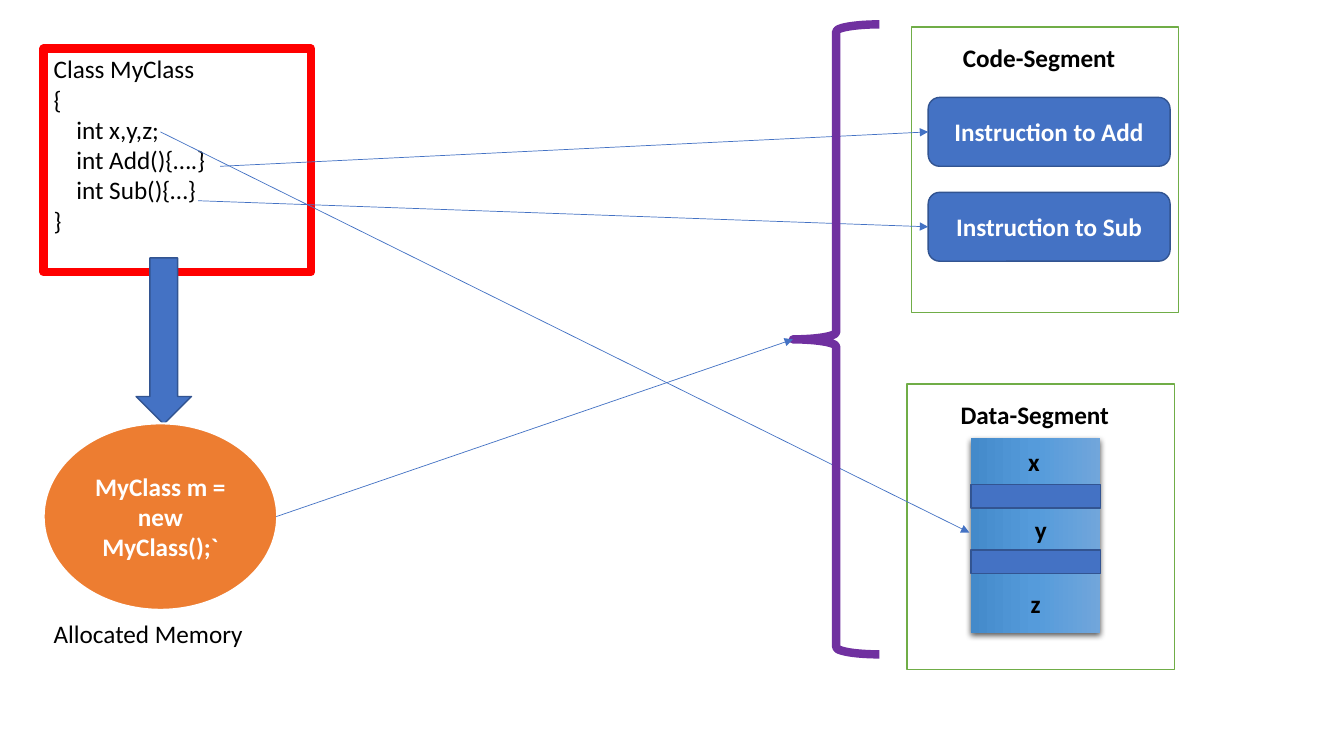
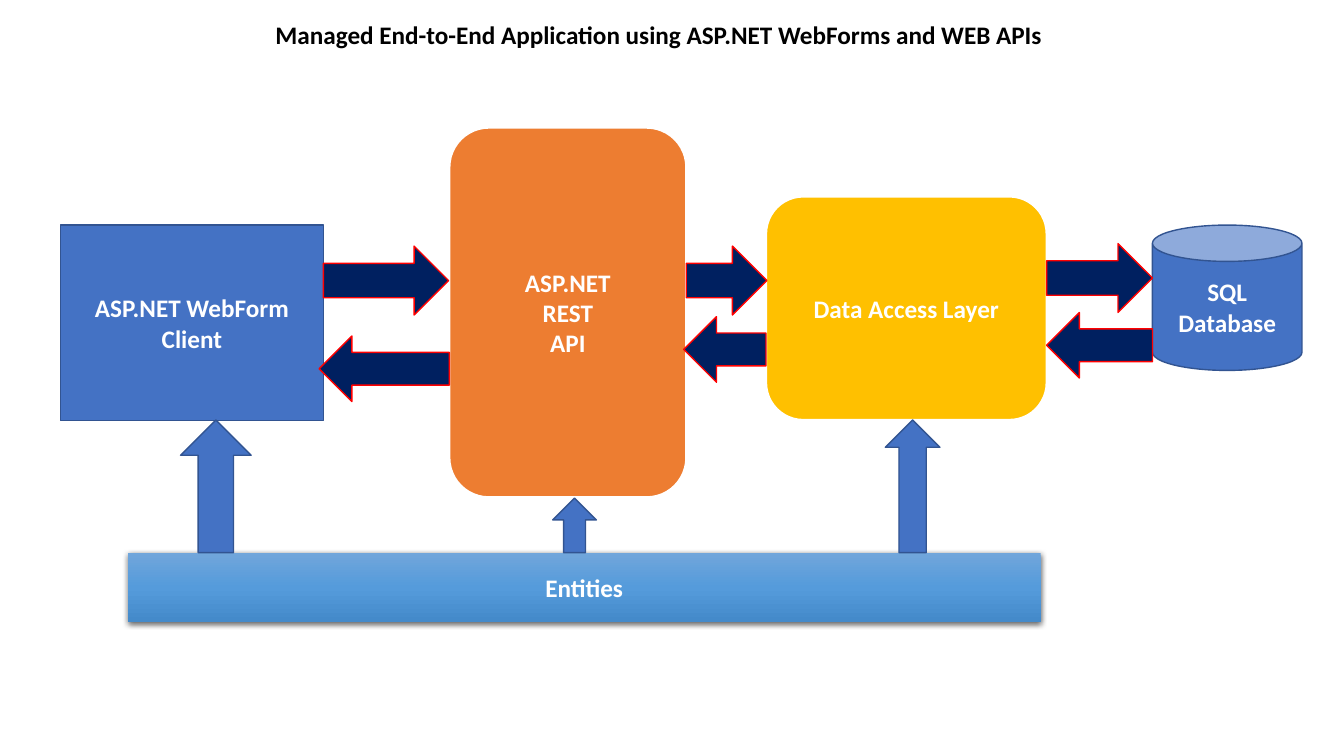
from lxml.etree import SubElement
from pptx import Presentation
from pptx.dml.color import RGBColor
from pptx.enum.shapes import MSO_CONNECTOR as Connector, MSO_SHAPE as Preset
from pptx.enum.text import MSO_ANCHOR as Anchor, MSO_AUTO_SIZE as AutoSize, PP_ALIGN as Align
from pptx.oxml.ns import qn
from pptx.util import Inches, Pt

COLUMNS, ROWS = 160, 90
FONT, TEXT_SIZE, TEXT_HEIGHT = "Calibri", 18, 4.8
BLACK, WHITE, RED = "000000", "FFFFFF", "FF0000"
BLUE, ORANGE, GOLD = "4472C4", "ED7D31", "FFC000"
NAVY, GREEN, PURPLE = "002060", "70AD47", "7030A0"
BLUE_EDGE, RED_EDGE, GREEN_EDGE = ("325491", 1), (RED, 1), (GREEN, 1)
WHITE_EDGE = (WHITE, 1.5)
GRADIENT = ((0, "71A6DB"), (50, "559BDB"), (100, "448ACA"))


def color(value):
    """Turn a hex string into a colour."""
    return RGBColor.from_string(value)


class Deck:
    """Hold the style, the presentation and the current slide."""

    def __init__(self):
        """Start a widescreen presentation."""
        self.presentation = Presentation()
        self.presentation.slide_width = Inches(13.333)
        self.presentation.slide_height = Inches(7.5)
        self.slide = None

    def place(self, left, top, width, height):
        """Convert grid cells to slide lengths."""
        column = self.presentation.slide_width / COLUMNS
        row = self.presentation.slide_height / ROWS
        return int(left * column), int(top * row), int(width * column), int(height * row)

    def new_slide(self, title=None):
        """Add a slide, with a title when one is given."""
        layout = self.presentation.slide_layouts[5 if title else 6]
        self.slide = self.presentation.slides.add_slide(layout)
        if title:
            shape = self.slide.shapes.title
            shape.left, shape.top, shape.width, shape.height = self.place(3.1, 1.7, 150.7, TEXT_HEIGHT)
            self.add_text(shape, title, BLACK, anchor=Anchor.TOP)

    def add_text(self, shape, text, ink, bold=True, align=Align.CENTER, anchor=Anchor.MIDDLE):
        """Fill a shape with one paragraph for each line of text."""
        frame = shape.text_frame
        frame.word_wrap = True
        frame.auto_size = AutoSize.NONE
        frame.vertical_anchor = anchor
        for index, line in enumerate(text.split("\n")):
            paragraph = frame.add_paragraph() if index else frame.paragraphs[0]
            paragraph.alignment = align
            run = paragraph.add_run()
            run.text = line
            run.font.name, run.font.size, run.font.bold = FONT, Pt(TEXT_SIZE), bold
            run.font.color.rgb = color(ink)

    def label(self, text, left, top, width, bold=True, align=Align.CENTER):
        """Add a one-line text box."""
        box = self.slide.shapes.add_textbox(*self.place(left, top, width, TEXT_HEIGHT))
        self.add_text(box, text, BLACK, bold, align, Anchor.TOP)

    def shape(self, preset, area, fill=None, edge=None, text=None):
        """Add a preset shape with white centred text."""
        shape = self.slide.shapes.add_shape(preset, *self.place(*area))
        if fill:
            shape.fill.solid()
            shape.fill.fore_color.rgb = color(fill)
        else:
            shape.fill.background()
        if edge:
            shape.line.color.rgb, shape.line.width = color(edge[0]), Pt(edge[1])
        else:
            shape.line.fill.background()
        shape.shadow.inherit = False
        if text:
            self.add_text(shape, text, WHITE)
        return shape

    def raised(self, preset, area, text=None):
        """Add a shape with the blue gradient and a soft shadow."""
        shape = self.shape(preset, area, text=text)
        shape.fill.gradient()
        shape.fill.gradient_angle = 270
        properties = shape._element.spPr
        stops = properties.find(qn("a:gradFill")).find(qn("a:gsLst"))
        stops.clear()
        for position, value in GRADIENT:
            stop = SubElement(stops, qn("a:gs"), pos=str(position * 1000))
            SubElement(stop, qn("a:srgbClr"), val=value)
        shadow = SubElement(properties.find(qn("a:effectLst")), qn("a:outerShdw"),
                            blurRad=str(Pt(4.5)), dist=str(Pt(1.5)), dir="5400000",
                            algn="ctr", rotWithShape="0")
        tint = SubElement(shadow, qn("a:srgbClr"), val=BLACK)
        SubElement(tint, qn("a:alpha"), val="63000")
        return shape

    def panel(self, left, top, heading):
        """Add a framed memory segment with its heading."""
        self.shape(Preset.RECTANGLE, (left, top, 31.8, 34), WHITE, GREEN_EDGE)
        self.label(heading, left + 2, top + 1.2, 26.4)

    def arrow(self, start, end=None, target=None):
        """Draw a thin arrow to a point or to a target's left side."""
        points = self.place(*start, *(end or start))
        connector = self.slide.shapes.add_connector(Connector.STRAIGHT, *points)
        if target is not None:
            connector.end_connect(target, 1)
        connector.line.color.rgb, connector.line.width = color(BLUE), Pt(0.5)
        properties = connector._element.spPr
        SubElement(properties.find(qn("a:ln")), qn("a:tailEnd"), type="triangle")
        SubElement(properties, qn("a:effectLst"))


def memory_slide(deck):
    """Show where the parts of a class live in memory."""
    deck.new_slide()
    source = deck.shape(Preset.RECTANGLE, (5.2, 5.8, 31.8, 26.6), edge=(RED, 6))
    code = "Class MyClass\n{\n    int x,y,z;\n    int Add(){….}\n    int Sub(){…}\n}"
    deck.add_text(source, code, BLACK, False, Align.LEFT, Anchor.TOP)
    deck.shape(Preset.DOWN_ARROW, (16.2, 30.7, 6.6, 19.8), BLUE, BLUE_EDGE)
    deck.shape(Preset.OVAL, (5.2, 50.4, 27.8, 22.2), ORANGE, WHITE_EDGE,
               "MyClass m = new MyClass();`")
    deck.label("Allocated Memory", 5.2, 73, 31.8, False, Align.LEFT)

    deck.panel(108.5, 3.2, "Code-Segment")
    for index, (name, start) in enumerate((("Add", (26.2, 19.8)), ("Sub", (23.6, 23.9)))):
        instruction = deck.shape(Preset.ROUNDED_RECTANGLE, (110.5, 11.6 + index * 11.3, 28.8, 8.2),
                                 BLUE, BLUE_EDGE, f"Instruction to {name}")
        deck.arrow(start, target=instruction)

    deck.panel(108, 45.7, "Data-Segment")
    stack = deck.raised(Preset.FLOWCHART_PREDEFINED_PROCESS, (111.7, 56.1, 23.2, 15.4))
    stack.rotation = 90
    for top in (57.7, 65.5):
        deck.shape(Preset.RECTANGLE, (115.6, top, 15.4, 2.8), BLUE, BLUE_EDGE)
    for name, left, top in (("y", 116.2, 60.7), ("x", 115.4, 52.6), ("z", 115.6, 69.5)):
        deck.label(name, left, top, 15.4)
    deck.arrow((19.1, 15.7), (115.4, 63.4))
    brace = deck.shape(Preset.LEFT_BRACE, (94.4, 2.9, 10.3, 75), edge=(PURPLE, 6))
    deck.arrow((32.9, 61.5), target=brace)


def application_slide(deck):
    """Show the layers of the application."""
    deck.new_slide("Managed End-to-End Application using ASP.NET WebForms and WEB APIs")
    entities_top = 65.8
    layers = (
        (Preset.RECTANGLE, (7.2, 26.8, 31.3, 23.3), BLUE, BLUE_EDGE, "ASP.NET WebForm\nClient"),
        (Preset.ROUNDED_RECTANGLE, (53.5, 15.2, 28.2, 44), ORANGE, WHITE_EDGE, "ASP.NET\nREST\nAPI"),
        (Preset.ROUNDED_RECTANGLE, (91.2, 23.4, 33.4, 26.6), GOLD, WHITE_EDGE, "Data Access Layer"),
        (Preset.CAN, (137.2, 26.8, 17.8, 17.3), BLUE, BLUE_EDGE, "SQL Database"),
    )
    for layer in layers:
        deck.shape(*layer)
    deck.raised(Preset.RECTANGLE, (15.2, entities_top, 108.7, 8.2), "Entities")
    for left, top, width in ((105.4, 50, 6.5), (65.8, 59.3, 5.2), (21.5, 50, 8.4)):
        deck.shape(Preset.UP_ARROW, (left, top, width, entities_top - top), BLUE, BLUE_EDGE)
    requests = ((38.5, 29.3, 14.9), (81.7, 29.3, 9.6), (124.6, 29, 12.6))
    responses = ((124.6, 37.2, 12.6), (81.4, 37.7, 9.8), (38, 40, 15.5))
    for preset, height, arrows in ((Preset.RIGHT_ARROW, 8.2, requests),
                                   (Preset.LEFT_ARROW, 7.8, responses)):
        for area in arrows:
            deck.shape(preset, (*area, height), NAVY, RED_EDGE)


def main():
    """Build and save the presentation."""
    deck = Deck()
    memory_slide(deck)
    application_slide(deck)
    deck.presentation.save("out.pptx")


if __name__ == "__main__":
    main()
